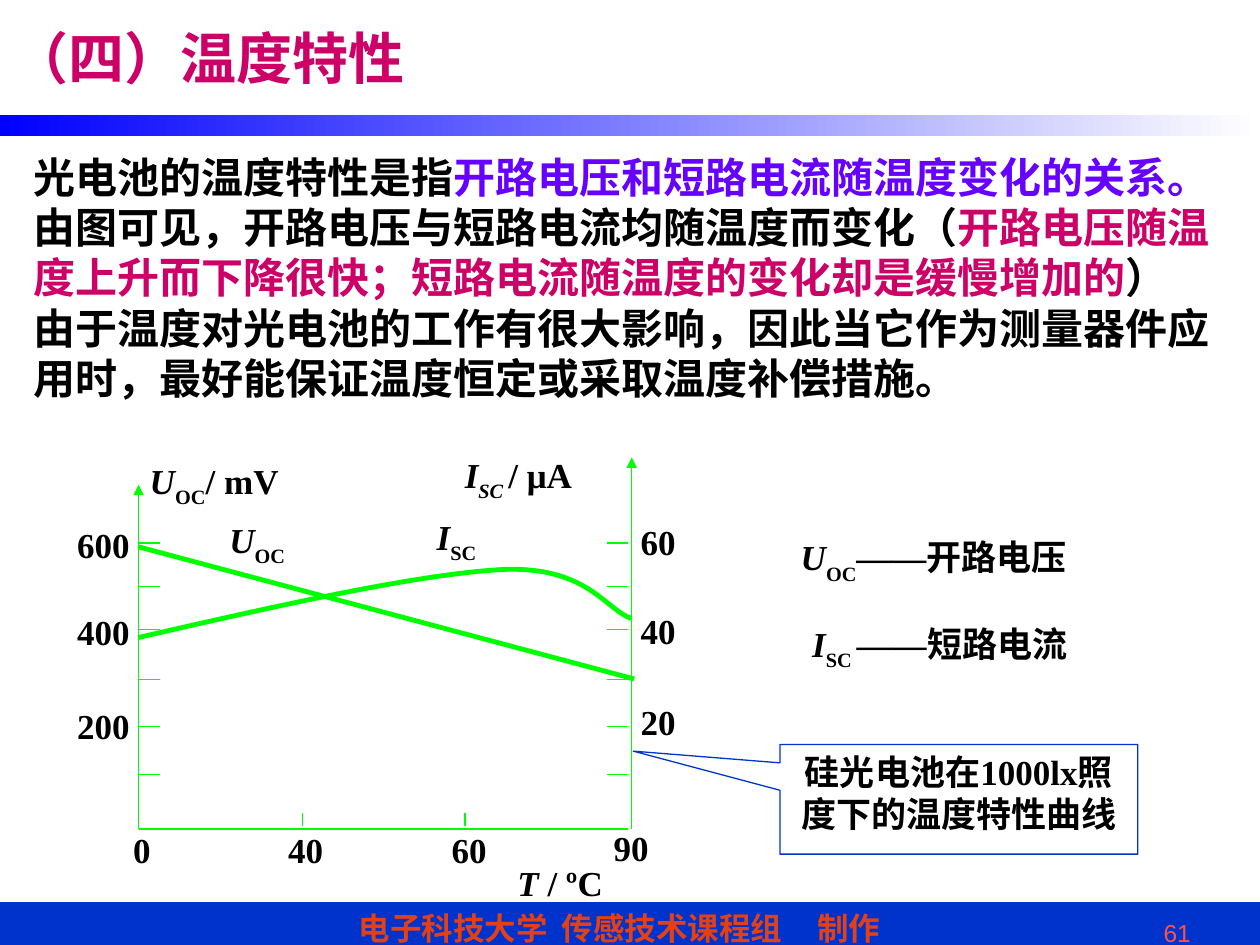
from lxml import etree
from pptx import Presentation
from pptx.dml.color import RGBColor
from pptx.enum.shapes import MSO_CONNECTOR, MSO_SHAPE
from pptx.enum.text import MSO_ANCHOR, MSO_AUTO_SIZE, PP_ALIGN
from pptx.oxml.ns import qn
from pptx.util import Pt

RECT, CALL = MSO_SHAPE.RECTANGLE, MSO_SHAPE.RECTANGULAR_CALLOUT
LINE = MSO_CONNECTOR.STRAIGHT
TOP, MID = MSO_ANCHOR.TOP, MSO_ANCHOR.MIDDLE
LEFT, MIDST, RIGHT = PP_ALIGN.LEFT, PP_ALIGN.CENTER, PP_ALIGN.RIGHT
FIXED = MSO_AUTO_SIZE.NONE

HUES = {
    "ink": "000000", "rose": "CC0066", "violet": "6600FF", "plot": "00FF00",
    "navy": "0033CC", "blue": "0000FF", "white": "FFFFFF", "brick": "E34115",
    "coral": "FF5050",
}
SERIF, SANS, HAN = "Times New Roman", "Arial", "Noto Sans CJK SC"

ITAL = {"italic": True}
SUB = {"base": -30000}
TITLE = "（四）温度特性"
CREDIT = ["电子科技大学", "传感技术课程组", "制作"]
STOPS = [116, 262]
BODY = [
    [
        ("光电池的温度特性是指", {}),
        ("开路电压和短路电流随温度变化的关系。", {"hue": "violet"}),
        ("由图可见，开路电压与短路电流均随温度而变化（", {}),
        ("开路电压随温度上升而下降很快；短路电流随温度的变化却是缓慢增加的", {"hue": "rose"}),
        ("）", {}),
    ],
    [("由于温度对光电池的工作有很大影响，因此当它作为测量器件应用时，"
      "最好能保证温度恒定或采取温度补偿措施。", {})],
]
NOTE = "硅光电池在1000lx照度下的温度特性曲线"

VOLT = [("U", ITAL), ("OC", SUB)]
AMP = [("I", ITAL), ("SC", SUB)]
NAMES = [
    (VOLT + [("/ mV", {})], 78.5, 259, 114),
    ([("I", ITAL), ("SC ", {**ITAL, **SUB}), ("/ μA", {})], 258.5, 255.5, 148),
    (VOLT, 124, 292.5, 52),
    (AMP, 242.5, 291, 58),
    ([("T ", ITAL), ("/ ºC", {})], 288.5, 489, 74),
    (VOLT + [("——", ITAL), ("开路电压", {})], 450.5, 302.5, 186),
    ([("I", ITAL), ("SC ", SUB), ("——", ITAL), ("短路电流", {})], 457, 352, 187),
]
SCALES = [
    ("600", 37, 295.5), ("400", 37, 345.5), ("200", 37, 399),
    ("60", 359, 294), ("40", 359, 345), ("20", 359, 397),
    ("0", 69, 470), ("40", 157.5, 470), ("60", 251, 470), ("90", 343.5, 468.5),
]

WEST, EAST, BASE = 79.2, 361, 473.8
ROWS = [310.3, 335.2, 359.6, 388.4, 415, 442.4]
COLS = [172.8, 265.7]
TICK = 12
AXES = [((WEST, BASE), (WEST, 277), True), ((EAST, BASE), (EAST, 261.4), True),
        ((WEST, BASE), (358.6, BASE), False)]
FALL = [(WEST, 312.5), (362.4, 388)]
RISE = [(WEST, 364.3), (160.6, 345.6), (241.2, 327.6), (288.7, 325.4),
        (335.5, 324), (345.6, 347.8), (360.7, 353.5)]


def tint(name):
    """Return the colour of a given name."""
    return RGBColor.from_string(HUES[name])


def setall(thing, vals):
    """Set each attribute from a dict of values."""
    for key, val in vals.items():
        setattr(thing, key, val)


def edge(shape, hue, wide=0.75):
    """Give a shape a solid line."""
    shape.line.width = Pt(wide)
    shape.line.color.rgb = tint(hue)


def write(shape, paras, size, hue="ink", face=SERIF, bold=True, align=LEFT,
          anchor=TOP, pad=(7.2, 3.6), tabs=()):
    """Fill a shape with paragraphs of formatted runs."""
    frame = shape.text_frame
    side, tall = map(Pt, pad)
    setall(frame, {"word_wrap": True, "auto_size": FIXED, "vertical_anchor": anchor,
                   "margin_left": side, "margin_right": side,
                   "margin_top": tall, "margin_bottom": tall})
    for num, runs in enumerate(paras):
        para = frame.add_paragraph() if num else frame.paragraphs[0]
        para.alignment = align
        if tabs:
            stops = etree.SubElement(para._p.get_or_add_pPr(), qn("a:tabLst"))
            for pos in tabs:
                etree.SubElement(stops, qn("a:tab"), pos=str(Pt(pos)), algn="l")
        for text, style in runs:
            run = para.add_run()
            run.text = text
            setall(run.font, {"size": Pt(size), "bold": bold, "name": face,
                              "italic": style.get("italic", False)})
            run.font.color.rgb = tint(style.get("hue", hue))
            props = run._r.get_or_add_rPr()
            etree.SubElement(props, qn("a:ea"), typeface=HAN)
            if "base" in style:
                props.set("baseline", str(style["base"]))


def label(slide, box, paras, size, **look):
    """Add a text box."""
    write(slide.shapes.add_textbox(*map(Pt, box)), paras, size, **look)


def block(slide, kind, box):
    """Add a preset shape with no shadow."""
    shape = slide.shapes.add_shape(kind, *map(Pt, box))
    shape.shadow.inherit = False
    return shape


def stroke(slide, start, end, arrow=False):
    """Add a thin plot line, with an arrowhead if asked."""
    line = slide.shapes.add_connector(LINE, *map(Pt, start + end))
    edge(line, "plot")
    etree.SubElement(line._element.spPr, qn("a:effectLst"))
    if arrow:
        etree.SubElement(line.line._get_or_add_ln(), qn("a:tailEnd"), type="triangle")


def curve(slide, points, bent=False):
    """Add a thick open curve, straight or through Bezier controls."""
    spots = [(Pt(x), Pt(y)) for x, y in points]
    pen = slide.shapes.build_freeform(*spots[0])
    pen.add_line_segments(spots[1:], close=False)
    shape = pen.convert_to_shape()
    shape.shadow.inherit = False
    shape.fill.background()
    edge(shape, "plot", 2.75)
    if bent:
        track = shape._element.xpath(".//a:path")[0]
        legs = track.findall(qn("a:lnTo"))
        for num in range(0, len(legs), 3):
            bend = etree.SubElement(track, qn("a:cubicBezTo"))
            for leg in legs[num:num + 3]:
                bend.append(leg[0])
                track.remove(leg)


def frame(slide):
    """Add the title, the bands, the credit and the page number."""
    head = slide.shapes.title
    setall(head, dict(zip(("left", "top", "width", "height"),
                          map(Pt, (0, 0, 672.5, 65.5)))))
    write(head, [[(TITLE, {})]], 32, hue="rose", face=HAN, anchor=MID)
    foot = block(slide, RECT, (0, 516, 720, 29))
    foot.fill.solid()
    foot.fill.fore_color.rgb = tint("navy")
    edge(foot, "navy")
    write(foot, [[("\t".join(CREDIT), {})]], 18, hue="brick", face=SANS,
          anchor=MID, pad=(205, 0), tabs=STOPS)
    band = block(slide, RECT, (0, 65.5, 720, 12.3))
    band.line.fill.background()
    band.fill.gradient()
    band.fill.gradient_angle = 0
    for stop, hue in zip(band.fill.gradient_stops, ("blue", "white")):
        stop.color.rgb = tint(hue)
    label(slide, (507.6, 521.3, 180, 18.7), [[("61", {})]], 14,
          hue="coral", face=SANS, bold=False, align=RIGHT)


def plot(slide):
    """Draw the axes, ticks, curves and labels."""
    for start, end, arrow in AXES:
        stroke(slide, start, end, arrow)
    for row in ROWS:
        for left in (WEST, 347):
            stroke(slide, (left + TICK, row), (left, row))
    for col in COLS:
        stroke(slide, (col, 464.5), (col, 472.3))
    curve(slide, FALL)
    curve(slide, RISE, bent=True)
    for text, left, top in SCALES:
        label(slide, (left, top, 46, 28), [[(text, {})]], 20)
    for runs, left, top, wide in NAMES:
        label(slide, (left, top, wide, 38), [runs], 20)
    note = block(slide, CALL, (445.7, 425.5, 204.5, 62.6))
    note.adjustments[0], note.adjustments[1] = -0.91, -0.44
    note.fill.background()
    edge(note, "navy")
    write(note, [[(NOTE, {})]], 20, align=MIDST)


def main():
    """Build and save the slide."""
    deck = Presentation()
    deck.slide_width, deck.slide_height = Pt(720), Pt(540)
    slide = deck.slides.add_slide(deck.slide_layouts[5])
    frame(slide)
    plot(slide)
    label(slide, (12.2, 82.8, 707.8, 151), BODY, 24)
    deck.save("out.pptx")


if __name__ == "__main__":
    main()
